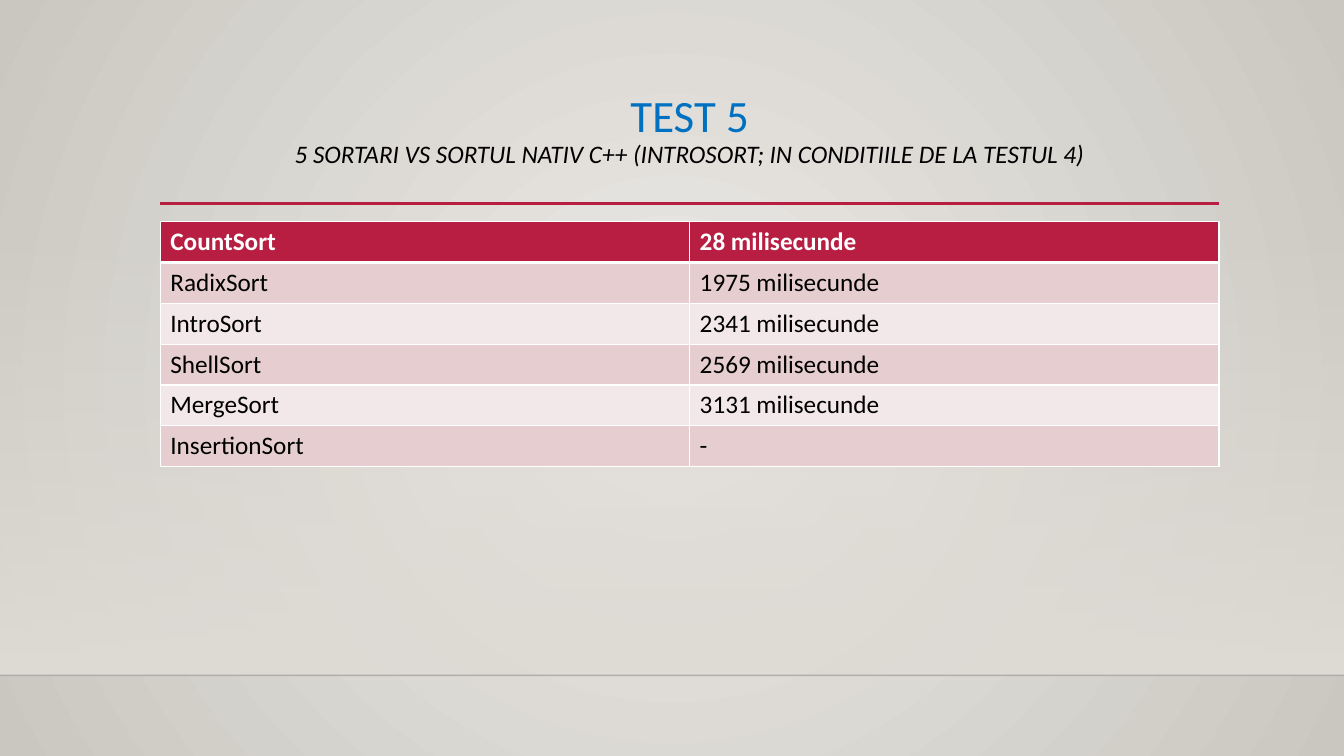
from lxml import etree
from pptx import Presentation, util as u
from pptx.dml.color import RGBColor
from pptx.enum import shapes, text
from pptx.oxml import ns

COLORS = {
    "light": "ECEAE7", "shade": "CAC7C1", "floor": "DFDBD5", "black": "000000",
    "white": "FFFFFF", "accent": "B71E42", "title": "0070C0",
    "odd_row": "E6CDCF", "even_row": "F3E8E9",
}
RESULTS = [
    ("CountSort", "28 milisecunde"),
    ("RadixSort", "1975 milisecunde"),
    ("IntroSort", "2341 milisecunde"),
    ("ShellSort", "2569 milisecunde"),
    ("MergeSort", "3131 milisecunde"),
    ("InsertionSort", "-"),
]
LEFT, WIDTH, FLOOR = 1.59, 10.5, 6.7


def add_node(parent, tag, **attributes):
    """Append a DrawingML child element and return it."""
    node = etree.SubElement(parent, ns.qn(f"a:{tag}"))
    for name, value in attributes.items():
        node.set(name, str(value))
    return node


def add_color(parent, color, alpha=100):
    """Append a named colour with its opacity in percent."""
    node = add_node(parent, "srgbClr", val=COLORS[color])
    if alpha < 100:
        add_node(node, "alpha", val=alpha * 1000)


class SlideBuilder:
    """Holds the text style and the current slide."""

    def __init__(self, slide, font="Calibri"):
        """Keep the slide and the font."""
        self.slide = slide
        self.font = font

    def set_gradient(self, fill, holder, stops, angle=None):
        """Give a fill two stops: linear at an angle, or else circular."""
        fill.solid()
        solid = holder.find(ns.qn("a:solidFill"))
        gradient = etree.Element(ns.qn("a:gradFill"))
        stop_list = add_node(gradient, "gsLst")
        for position, (color, alpha) in zip((0, 100000), stops):
            add_color(add_node(stop_list, "gs", pos=position), color, alpha)
        if angle is None:
            circle = add_node(gradient, "path", path="circle")
            add_node(circle, "fillToRect", l=50000, t=50000, r=50000, b=50000)
        else:
            add_node(gradient, "lin", ang=angle * 60000, scaled=0)
        holder.replace(solid, gradient)

    def background(self, *stops):
        """Fill the background with a circular gradient."""
        fill = self.slide.background.fill
        fill.solid()
        holder = self.slide.element.find(f".//{ns.qn('p:bgPr')}")
        self.set_gradient(fill, holder, stops)

    def panel(self, left, top, width, height, *stops):
        """Add a borderless rectangle with a downward gradient."""
        shape = self.slide.shapes.add_shape(
            shapes.MSO_SHAPE.RECTANGLE,
            *map(u.Inches, (left, top, width, height)))
        shape.shadow.inherit = False
        shape.line.fill.background()
        self.set_gradient(shape.fill, shape.element.spPr, stops, angle=90)

    def rule(self, left, right, y, color, weight, alpha=100):
        """Add a horizontal line."""
        line = self.slide.shapes.add_connector(
            shapes.MSO_CONNECTOR.STRAIGHT,
            *map(u.Inches, (left, y, right, y)))
        line.line.width = u.Pt(weight)
        line.line.color.rgb = RGBColor.from_string(COLORS[color])
        if alpha < 100:
            fill = line.line._ln.find(ns.qn("a:solidFill"))
            add_node(fill[0], "alpha", val=alpha * 1000)
        add_node(line.element.spPr, "effectLst")

    def run(self, paragraph, words, size, color, bold=False, italic=False):
        """Add one styled run."""
        run = paragraph.add_run()
        run.text = words
        run.font.name = self.font
        run.font.size = u.Pt(size)
        run.font.bold = bold
        run.font.italic = italic
        run.font.color.rgb = RGBColor.from_string(COLORS[color])

    def heading(self, left, top, width, height, title, subtitle):
        """Add a centred title with an italic second line."""
        box = self.slide.shapes.add_textbox(
            *map(u.Inches, (left, top, width, height)))
        frame = box.text_frame
        frame.word_wrap = True
        frame.vertical_anchor = text.MSO_ANCHOR.TOP
        paragraph = frame.paragraphs[0]
        paragraph.alignment = text.PP_ALIGN.CENTER
        paragraph.line_spacing = 0.9
        self.run(paragraph, title, 32, "title")
        paragraph.add_line_break()
        self.run(paragraph, subtitle, 18, "black", italic=True)

    def borders(self, cell, bottom, top):
        """Draw white cell borders."""
        properties = cell._tc.get_or_add_tcPr()
        weights = {"lnL": 1, "lnR": 1, "lnT": top, "lnB": bottom}
        for index, (tag, weight) in enumerate(weights.items()):
            line = add_node(properties, tag, w=u.Pt(weight))
            add_color(add_node(line, "solidFill"), "white")
            properties.insert(index, line)

    def table(self, left, top, width, height, rows):
        """Add a banded table whose first row is the header."""
        table = self.slide.shapes.add_table(
            len(rows), len(rows[0]),
            *map(u.Inches, (left, top, width, height))).table
        for row_index, row in enumerate(rows):
            header = row_index == 0
            band = "odd_row" if row_index % 2 else "even_row"
            for column_index, words in enumerate(row):
                cell = table.cell(row_index, column_index)
                cell.fill.solid()
                cell.fill.fore_color.rgb = RGBColor.from_string(
                    COLORS["accent" if header else band])
                self.borders(cell, bottom=3 if header else 1,
                             top=3 if row_index == 1 else 1)
                self.run(cell.text_frame.paragraphs[0], words, 18,
                         "white" if header else "black", bold=header)


def main():
    """Build the slide and save it."""
    presentation = Presentation()
    presentation.slide_width = u.Inches(13.33)
    presentation.slide_height = u.Inches(7.5)
    slide = presentation.slides.add_slide(presentation.slide_layouts[6])
    builder = SlideBuilder(slide)
    builder.background(("light", 100), ("shade", 100))
    builder.panel(0, 2.21, 13.33, FLOOR - 2.21, ("floor", 0), ("floor", 100))
    builder.rule(0, 13.33, FLOOR, "black", 1, alpha=20)
    builder.rule(LEFT, LEFT + WIDTH, 2.02, "accent", 2.5)
    builder.heading(
        LEFT, 0.88, WIDTH, 1.15, "TEST 5",
        "5 SORTARI VS SORTUL NATIV C++ (INTROSORT; IN CONDITIILE DE LA TESTUL 4)")
    builder.table(LEFT, 2.2, WIDTH, 2.43, RESULTS)
    presentation.save("out.pptx")


main()
